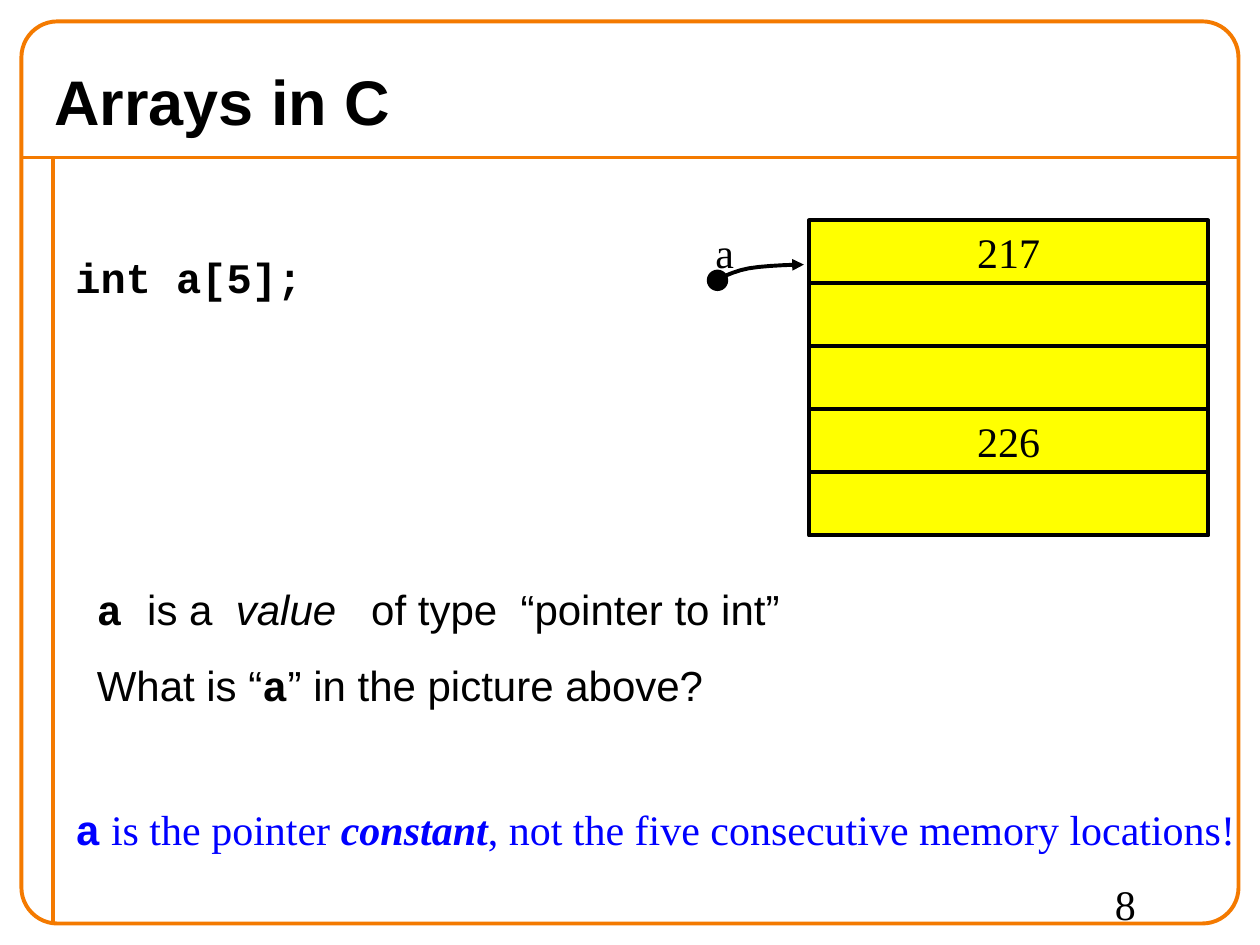
import pptx
import pptx.util
import pptx.dml.color
import pptx.enum.shapes
import pptx.enum.text
import lxml.etree
from pptx.oxml.ns import qn

Inches, Pt = pptx.util.Inches, pptx.util.Pt
SHAPES = pptx.enum.shapes.MSO_SHAPE
ALIGN = pptx.enum.text.PP_ALIGN
ANCHOR = pptx.enum.text.MSO_ANCHOR

SANS, MONO, SERIF = "Arial", "Courier New", "Times New Roman"
ORANGE, YELLOW, BLACK, BLUE = "F47A00", "FFFF00", "000000", "0000FF"
LINE_WIDTH = 2.25
TEXT_SIZE = 24

# Frame edges and the memory grid, in inches
LEFT, RIGHT, TOP, BOTTOM = 0.17, 9.83, 0.17, 7.33
HEADER_Y, MARGIN_X = 1.25, 0.42
ARRAY_X, ARRAY_Y, CELL_W, CELL_H = 6.42, 1.75, 3.17, 0.5
ARRAY_VALUES = ["217", "", "", "226", ""]


def rgb(color):
    return pptx.dml.color.RGBColor.from_string(color)


def set_line(shape, color):
    shape.line.color.rgb = rgb(color)
    shape.line.width = Pt(LINE_WIDTH)


def add_runs(paragraph, runs, color=BLACK, size=TEXT_SIZE):
    """Each run is its wording, its font and, where needed, "b" and "i"."""
    for wording, font, *style in runs:
        run = paragraph.add_run()
        run.text = wording
        run.font.name = font
        run.font.size = Pt(size)
        run.font.color.rgb = rgb(color)
        run.font.bold = "b" in style
        run.font.italic = "i" in style


def add_text(slide, box, lines, color=BLACK, wrap=True):
    frame = slide.shapes.add_textbox(*map(Inches, box)).text_frame
    frame.word_wrap = wrap
    for number, runs in enumerate(lines):
        paragraph = frame.add_paragraph() if number else frame.paragraphs[0]
        paragraph.space_before = Pt(15 if number else 0)
        add_runs(paragraph, runs, color)


def add_shape(slide, preset, box, fill=None, line=None):
    shape = slide.shapes.add_shape(preset, *map(Inches, box))
    shape.shadow.inherit = False
    if fill:
        shape.fill.solid()
        shape.fill.fore_color.rgb = rgb(fill)
    else:
        shape.fill.background()
    if line:
        set_line(shape, line)
    else:
        shape.line.fill.background()
    return shape


def add_rule(slide, start, end):
    rule = slide.shapes.add_connector(
        pptx.enum.shapes.MSO_CONNECTOR.STRAIGHT, *map(Inches, start + end))
    set_line(rule, ORANGE)
    lxml.etree.SubElement(rule._element.spPr, qn("a:effectLst"))


def add_cell(slide, row, value):
    box = (ARRAY_X, ARRAY_Y + row * CELL_H, CELL_W, CELL_H)
    cell = add_shape(slide, SHAPES.RECTANGLE, box, YELLOW, BLACK)
    if value:
        frame = cell.text_frame
        frame.vertical_anchor = ANCHOR.MIDDLE
        frame.paragraphs[0].alignment = ALIGN.CENTER
        add_runs(frame.paragraphs[0], [(value, SERIF)])


def bezier(points, t):
    """Point at share t of a Bezier curve, by repeated interpolation."""
    while len(points) > 1:
        points = [tuple(a + (b - a) * t for a, b in zip(p, q))
                  for p, q in zip(points, points[1:])]
    return points[0]


def add_curved_arrow(slide, segments, steps=5):
    # The builder rounds to whole units, so the points are given in EMU
    curve = [segments[0][0]] + [
        bezier(segment, step / steps)
        for segment in segments for step in range(1, steps + 1)]
    start, *rest = [tuple(map(Inches, point)) for point in curve]
    builder = slide.shapes.build_freeform(*start)
    builder.add_line_segments(rest, close=False)
    arrow = builder.convert_to_shape()
    arrow.shadow.inherit = False
    arrow.fill.background()
    set_line(arrow, BLACK)
    lxml.etree.SubElement(arrow.line._get_or_add_ln(), qn("a:tailEnd"),
                          type="triangle")


def add_title(slide, wording):
    title = slide.shapes.title
    title.left, title.top, title.width, title.height = map(
        Inches, (0.33, 0.42, 9.33, 0.75))
    title.text_frame.vertical_anchor = ANCHOR.MIDDLE
    title.text_frame.paragraphs[0].alignment = ALIGN.LEFT
    add_runs(title.text_frame.paragraphs[0], [(wording, SANS, "b")], size=36)


def main():
    deck = pptx.Presentation()
    deck.slide_width, deck.slide_height = Inches(10), Inches(7.5)
    slide = deck.slides.add_slide(deck.slide_layouts[5])

    # Frame, header rule and margin rule
    add_rule(slide, (LEFT, HEADER_Y), (RIGHT, HEADER_Y))
    add_rule(slide, (MARGIN_X, HEADER_Y), (MARGIN_X, BOTTOM))
    border = add_shape(slide, SHAPES.ROUNDED_RECTANGLE,
                       (LEFT, TOP, RIGHT - LEFT, BOTTOM - TOP), line=ORANGE)
    border.adjustments[0] = 0.04

    # Title and declaration
    add_title(slide, "Arrays in C")
    add_text(slide, (0.5, 1.95, 4, 0.5), [[("int a[5];", MONO, "b")]])

    # Array in memory
    for row, value in enumerate(ARRAY_VALUES):
        add_cell(slide, row, value)

    # Pointer to the first cell
    add_text(slide, (5.58, 1.75, 0.35, 0.5), [[("a", SERIF)]], wrap=False)
    add_curved_arrow(slide, [
        [(5.69, 2.22), (5.73, 2.2), (5.83, 2.15), (5.94, 2.13)],
        [(5.94, 2.13), (6.05, 2.11), (6.28, 2.1), (6.38, 2.1)]])
    add_shape(slide, SHAPES.OVAL, (5.61, 2.14, 0.17, 0.17), BLACK)

    # Explanation
    add_text(slide, (0.67, 4.58, 9, 1.11), [
        [("a ", MONO, "b"), ("is a  ", SANS), ("value", SANS, "i"),
         ("   of type  “pointer to int”", SANS)],
        [("What is “", SANS), ("a", MONO, "b"),
         ("” in the picture above?", SANS)]])

    # Conclusion
    add_text(slide, (0.5, 6.33, 9.67, 0.5), [
        [("a", MONO, "b"), (" is the pointer ", SERIF),
         ("constant", SERIF, "b", "i"),
         (", not the five consecutive memory locations!", SERIF)]], BLUE)

    # Page number
    add_text(slide, (8.75, 6.92, 1, 0.5), [[("8", SERIF)]])

    deck.save("out.pptx")


if __name__ == "__main__":
    main()
